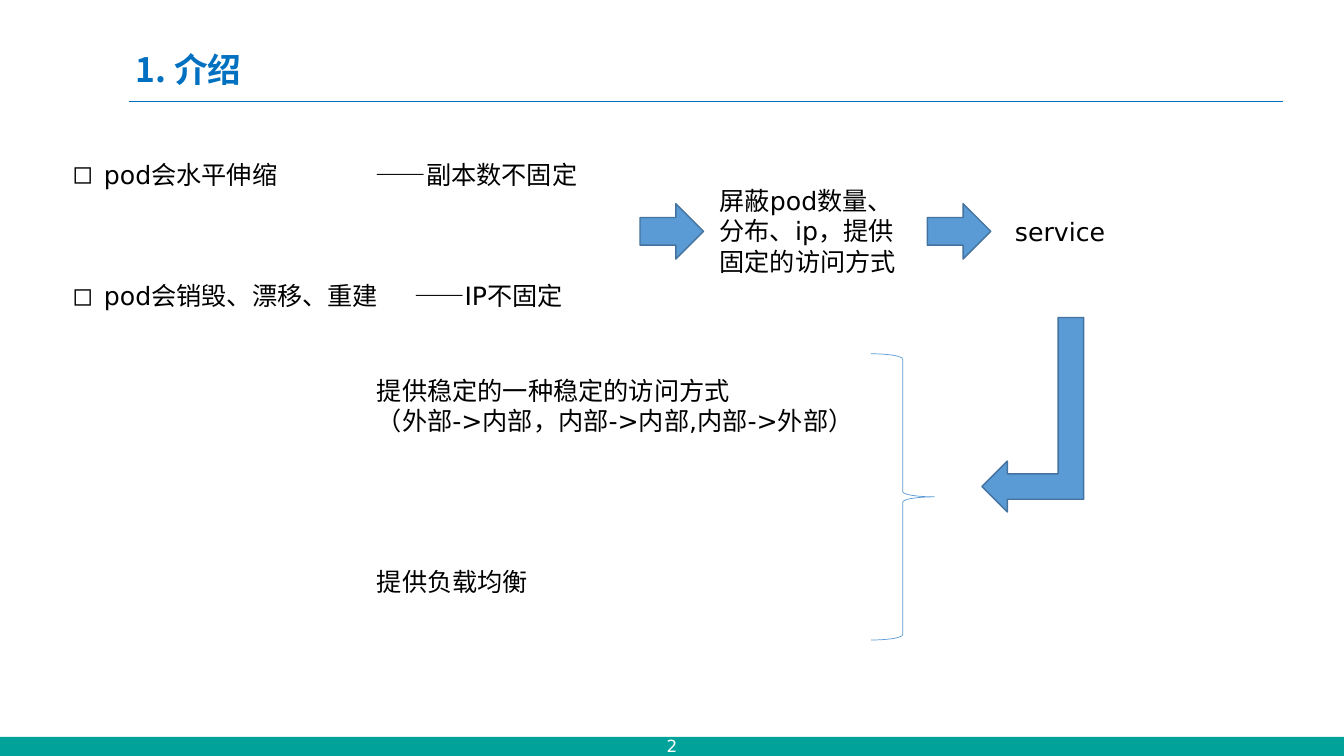
import dataclasses

import pptx
import pptx.dml.color
import pptx.enum.shapes
import pptx.enum.text
import pptx.oxml
import pptx.oxml.ns
import pptx.util

SHAPES = pptx.enum.shapes.MSO_SHAPE
ANCHORS = pptx.enum.text.MSO_ANCHOR
ALIGNS = pptx.enum.text.PP_ALIGN


@dataclasses.dataclass(frozen=True)
class Theme:
    latin: str = "DejaVu Sans"
    chinese: str = "Noto Sans CJK SC"
    heading: str = "0070C0"
    band: str = "00A29A"
    arrow: str = "5B9BD5"
    outline: str = "43739E"
    ink: str = "000000"
    paper: str = "FFFFFF"
    heading_size: int = 24
    body_size: int = 18
    number_size: int = 12


THEME = Theme()
COLUMNS, ROWS = 133.33, 75
CELL = pptx.util.Inches(0.1)


def cells(*counts):
    return [round(count * CELL) for count in counts]


def color(code):
    return pptx.dml.color.RGBColor.from_string(code)


def apply(target, values):
    for name, value in values.items():
        setattr(target, name, value)


def add_child(parent, tag, **attributes):
    child = pptx.oxml.parse_xml(f"<a:{tag} {pptx.oxml.ns.nsdecls('a')}/>")
    for name, value in attributes.items():
        child.set(name, str(value))
    parent.append(child)
    return child


def style_span(span, size, ink, latin, bold=False):
    apply(span.font, {"name": latin, "size": pptx.util.Pt(size), "bold": bold})
    span.font.color.rgb = color(ink)
    add_child(span.font._element, "ea", typeface=THEME.chinese)


def add_text(page, place, lines, size=THEME.body_size, ink=THEME.ink,
             latin=THEME.latin, bold=False, anchor=ANCHORS.TOP, align=ALIGNS.LEFT):
    box = page.shapes.add_textbox(*cells(*place))
    apply(box.text_frame, {"word_wrap": True, "vertical_anchor": anchor})
    for index, line in enumerate(lines):
        para = box.text_frame.add_paragraph() if index else box.text_frame.paragraphs[0]
        para.alignment = align
        span = para.add_run()
        span.text = line
        style_span(span, size, ink, latin, bold)
    return box


def add_bullets(page, place, items, tab_columns, gap):
    box = add_text(page, place, items)
    for index, (para, column) in enumerate(zip(box.text_frame.paragraphs, tab_columns)):
        if index:
            para.space_before = pptx.util.Pt(gap)
        indent, stop = cells(3.13, column)
        settings = para._p.get_or_add_pPr()
        apply_indent = {"marL": indent, "indent": -indent}
        for name, value in apply_indent.items():
            settings.set(name, str(value))
        add_child(settings, "buFont", typeface=THEME.latin)
        add_child(settings, "buChar", char="◻")
        add_child(add_child(settings, "tabLst"), "tab", pos=stop, algn="l")


def add_figure(page, kind, place, fill=None, outline=None, weight=1):
    figure = page.shapes.add_shape(kind, *cells(*place))
    figure.shadow.inherit = False
    if fill:
        figure.fill.solid()
        figure.fill.fore_color.rgb = color(fill)
    else:
        figure.fill.background()
    if outline:
        figure.line.color.rgb = color(outline)
        figure.line.width = pptx.util.Pt(weight)
    else:
        figure.line.fill.background()
    return figure


def add_rule(page, left, right, row):
    rule = page.shapes.add_connector(
        pptx.enum.shapes.MSO_CONNECTOR.STRAIGHT, *cells(left, row, right, row))
    rule.line.color.rgb = color(THEME.heading)
    rule.line.width = pptx.util.Pt(1)
    add_child(rule._element.spPr, "effectLst")


def add_heading(page, text):
    add_rule(page, 12.8, 127.3, 10.1)
    add_text(page, (12.5, 3.8, 114.8, 6.1), [text], size=THEME.heading_size,
             ink=THEME.heading, latin=THEME.chinese, bold=True, anchor=ANCHORS.MIDDLE)


def add_footer(page, number):
    add_figure(page, SHAPES.RECTANGLE, (0, 73.1, COLUMNS, 1.9), THEME.band)
    box = add_text(page, (0, 72.9, COLUMNS, 2.1), [number], size=THEME.number_size,
                   ink=THEME.paper, anchor=ANCHORS.MIDDLE, align=ALIGNS.CENTER)
    apply(box.text_frame, {"margin_top": 0, "margin_bottom": 0})


def add_flow(page):
    for column in (63.5, 92):
        add_figure(page, SHAPES.RIGHT_ARROW, (column, 20.2, 6.3, 5.5),
                   THEME.arrow, THEME.outline)
    add_text(page, (70.4, 17.9, 19.5, 12.9), ["屏蔽pod数量、分布、ip，提供固定的访问方式"])
    add_text(page, (99.7, 21, 19.5, 4), ["service"])
    turn = add_figure(page, SHAPES.BENT_UP_ARROW, (92.8, 36.1, 19.3, 10.1),
                      THEME.arrow, THEME.outline)
    turn.rotation = 270
    turn._element.spPr.xfrm.set("flipH", "1")


def add_benefits(page):
    add_figure(page, SHAPES.RIGHT_BRACE, (86.4, 35.1, 6.3, 28.4),
               outline=THEME.arrow, weight=0.5)
    add_text(page, (36.4, 36.7, 50, 10.2),
             ["提供稳定的一种稳定的访问方式", "（外部->内部，内部->内部,内部->外部）"])
    add_text(page, (36.4, 55.7, 17, 4.2), ["提供负载均衡"])


def main():
    deck = pptx.Presentation()
    width, height = cells(COLUMNS, ROWS)
    apply(deck, {"slide_width": width, "slide_height": height})
    page = deck.slides.add_slide(deck.slide_layouts[6])
    add_footer(page, "2")
    add_heading(page, "1. 介绍")
    add_bullets(page, (6.2, 15.3, 56.4, 19.2),
                ["pod会水平伸缩\t——副本数不固定", "pod会销毁、漂移、重建\t——IP不固定"],
                tab_columns=(30.1, 33.9), gap=65)
    add_flow(page)
    add_benefits(page)
    deck.save("out.pptx")


if __name__ == "__main__":
    main()
